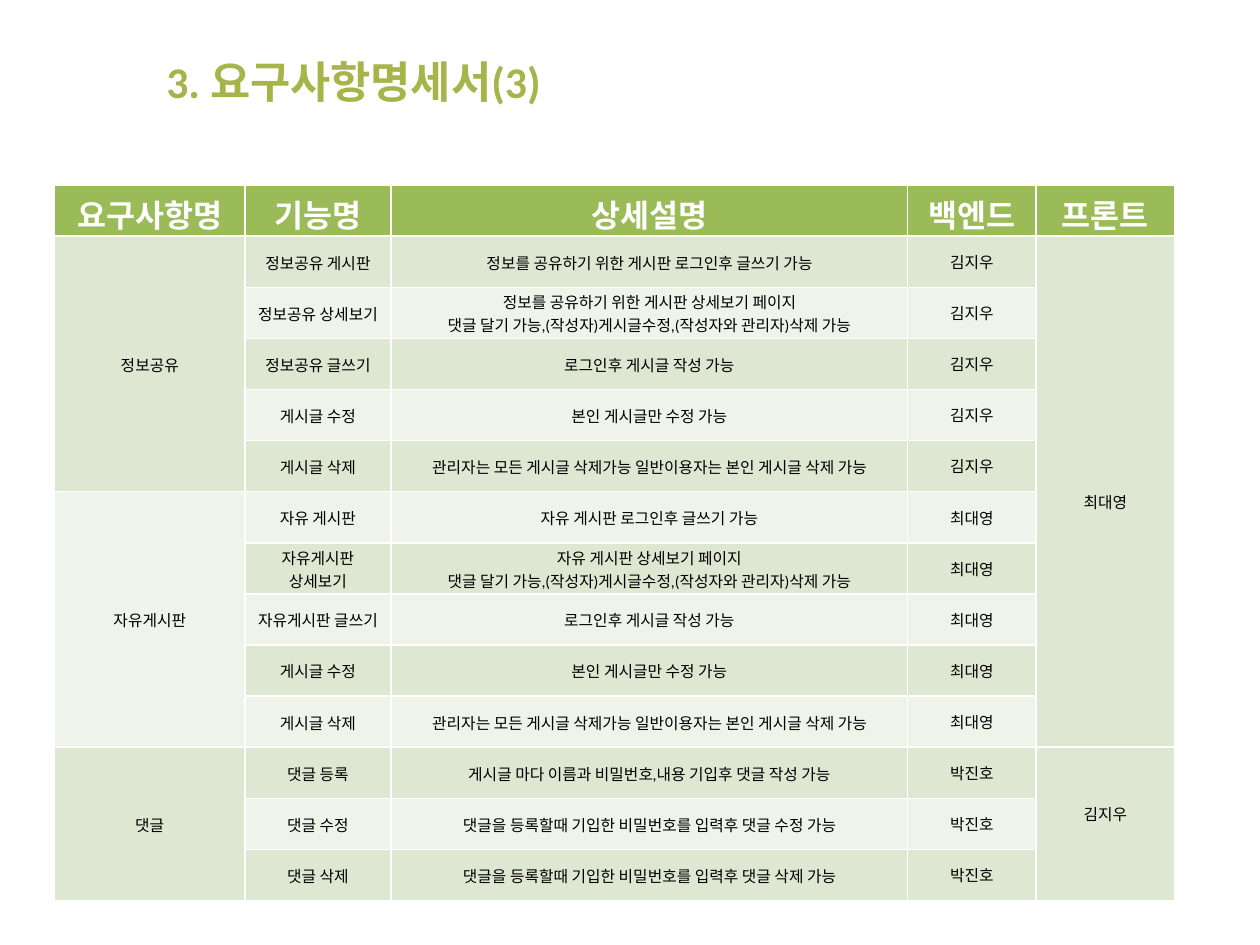
from pptx import Presentation
from pptx.dml.color import RGBColor
from pptx.enum.text import MSO_ANCHOR as Anchor, PP_ALIGN as Align
from pptx.util import Pt

TITLE_GREEN = RGBColor(0xA5, 0xB5, 0x4A)
HEADER_GREEN = RGBColor(0x9B, 0xBB, 0x59)
BANDS = (RGBColor(0xDE, 0xE7, 0xD1), RGBColor(0xEF, 0xF3, 0xEA))
WHITE = RGBColor(0xFF, 0xFF, 0xFF)
BLACK = RGBColor(0, 0, 0)

HEADERS = ("요구사항명", "기능명", "상세설명", "백엔드", "프론트")
COLUMN_WIDTHS = (108.7, 83.5, 295.2, 73.4, 79.2)
ROW_HEIGHT = 29.2
TIGHT = (0.72, 0.72, 0.72, 0)  # left, top, right, bottom
NORMAL = (7.2, 3.6, 7.2, 3.6)

WRITE = "로그인후 게시글 작성 가능"
EDIT = "본인 게시글만 수정 가능"
DELETE = "관리자는 모든 게시글 삭제가능 일반이용자는 본인 게시글 삭제 가능"
DETAIL = "댓글 달기 가능,(작성자)게시글수정,(작성자와 관리자)삭제 가능"

# Requirement, back-end developer, (feature, description) rows;
# "\n" starts a paragraph and "\v" breaks a line
REQUIREMENTS = (
    ("정보공유", "김지우", (
        ("정보공유 게시판", "정보를 공유하기 위한 게시판 로그인후 글쓰기 가능"),
        ("정보공유 상세보기", "정보를 공유하기 위한 게시판 상세보기 페이지\v" + DETAIL),
        ("정보공유 글쓰기", WRITE),
        ("게시글 수정", EDIT),
        ("게시글 삭제", DELETE),
    )),
    ("자유게시판", "최대영", (
        ("자유 게시판", "자유 게시판 로그인후 글쓰기 가능"),
        ("자유게시판\n상세보기", "자유 게시판 상세보기 페이지\v" + DETAIL),
        ("자유게시판 글쓰기", WRITE),
        ("게시글 수정", EDIT),
        ("게시글 삭제", DELETE),
    )),
    ("댓글", "박진호", (
        ("댓글 등록", "게시글 마다 이름과 비밀번호,내용 기입후 댓글 작성 가능"),
        ("댓글 수정", "댓글을 등록할때 기입한 비밀번호를 입력후 댓글 수정 가능"),
        ("댓글 삭제", "댓글을 등록할때 기입한 비밀번호를 입력후 댓글 삭제 가능"),
    )),
)
# Front-end developer, first row, row count, cell margins
FRONT_END = (
    ("최대영", 1, 10, (7.2, 15, 7.2, 3.6)),
    ("김지우", 11, 3, (7.2, 3.6, 7.2, 15)),
)


def write_text(frame, text, size=9, color=BLACK, bold=False, align=Align.CENTER):
    frame.text = text
    for paragraph in frame.paragraphs:
        paragraph.alignment = align
        for run in paragraph.runs:
            run.font.name = "Calibri"
            run.font.size = Pt(size)
            run.font.bold = bold
            run.font.color.rgb = color


def add_title(slide, text):
    title = slide.shapes.add_textbox(Pt(88), Pt(18), Pt(596), Pt(57))
    title.text_frame.word_wrap = True
    title.text_frame.vertical_anchor = Anchor.MIDDLE
    write_text(title.text_frame, text, size=25, color=TITLE_GREEN, bold=True,
               align=Align.LEFT)


def write_cell(cell, text, margins=NORMAL, **text_format):
    cell.vertical_anchor = Anchor.MIDDLE
    (cell.margin_left, cell.margin_top,
     cell.margin_right, cell.margin_bottom) = map(Pt, margins)
    write_text(cell.text_frame, text, **text_format)


def merge_down(table, row, column, count):
    cell = table.cell(row, column)
    cell.merge(table.cell(row + count - 1, column))
    return cell


def add_grid(slide, row_count):
    grid = slide.shapes.add_table(row_count, len(HEADERS), Pt(31.2), Pt(105.8),
                                  Pt(sum(COLUMN_WIDTHS)),
                                  Pt(ROW_HEIGHT * row_count)).table
    for column, width in zip(grid.columns, COLUMN_WIDTHS):
        column.width = Pt(width)
    for index, row in enumerate(grid.rows):
        row.height = Pt(ROW_HEIGHT)
        for cell in row.cells:
            cell.fill.solid()
            cell.fill.fore_color.rgb = BANDS[(index - 1) % 2] if index else HEADER_GREEN
    return grid


def add_requirements(slide):
    row_count = 1 + sum(len(features) for _, _, features in REQUIREMENTS)
    grid = add_grid(slide, row_count)

    # Header row
    for column, header in enumerate(HEADERS):
        write_cell(grid.cell(0, column), header, size=18, color=WHITE, bold=True)

    # Requirement groups
    row = 1
    for requirement, back_end, features in REQUIREMENTS:
        write_cell(merge_down(grid, row, 0, len(features)), requirement, TIGHT)
        for feature, description in features:
            write_cell(grid.cell(row, 1), feature, TIGHT)
            write_cell(grid.cell(row, 2), description, TIGHT)
            write_cell(grid.cell(row, 3), back_end)
            row += 1

    # Front-end column
    for developer, first_row, count, margins in FRONT_END:
        write_cell(merge_down(grid, first_row, 4, count), developer, margins)


def main():
    deck = Presentation()
    deck.slide_width, deck.slide_height = Pt(720), Pt(540)
    slide = deck.slides.add_slide(deck.slide_layouts[6])
    add_title(slide, "3. 요구사항명세서(3)")
    add_requirements(slide)
    deck.save("out.pptx")


if __name__ == "__main__":
    main()
